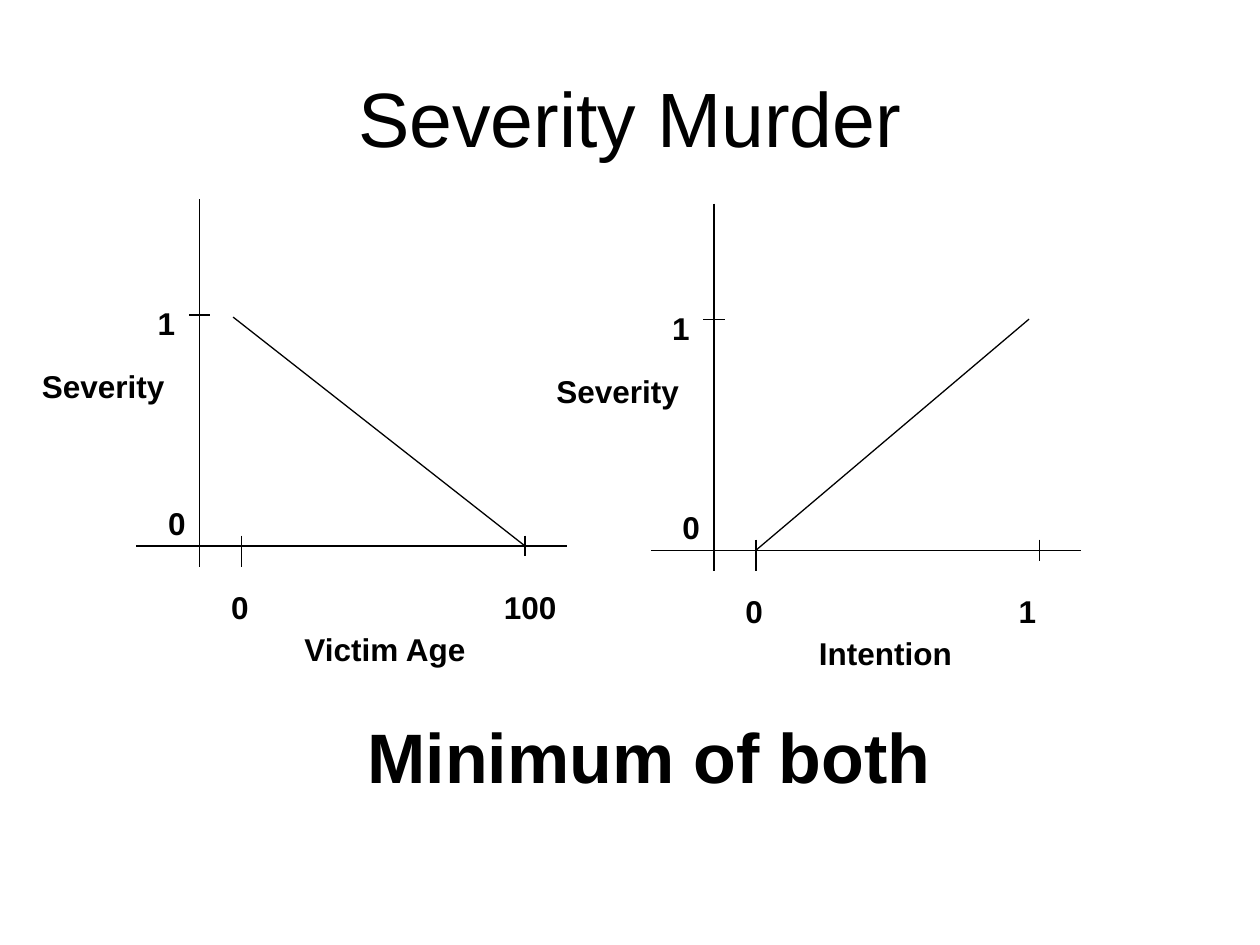
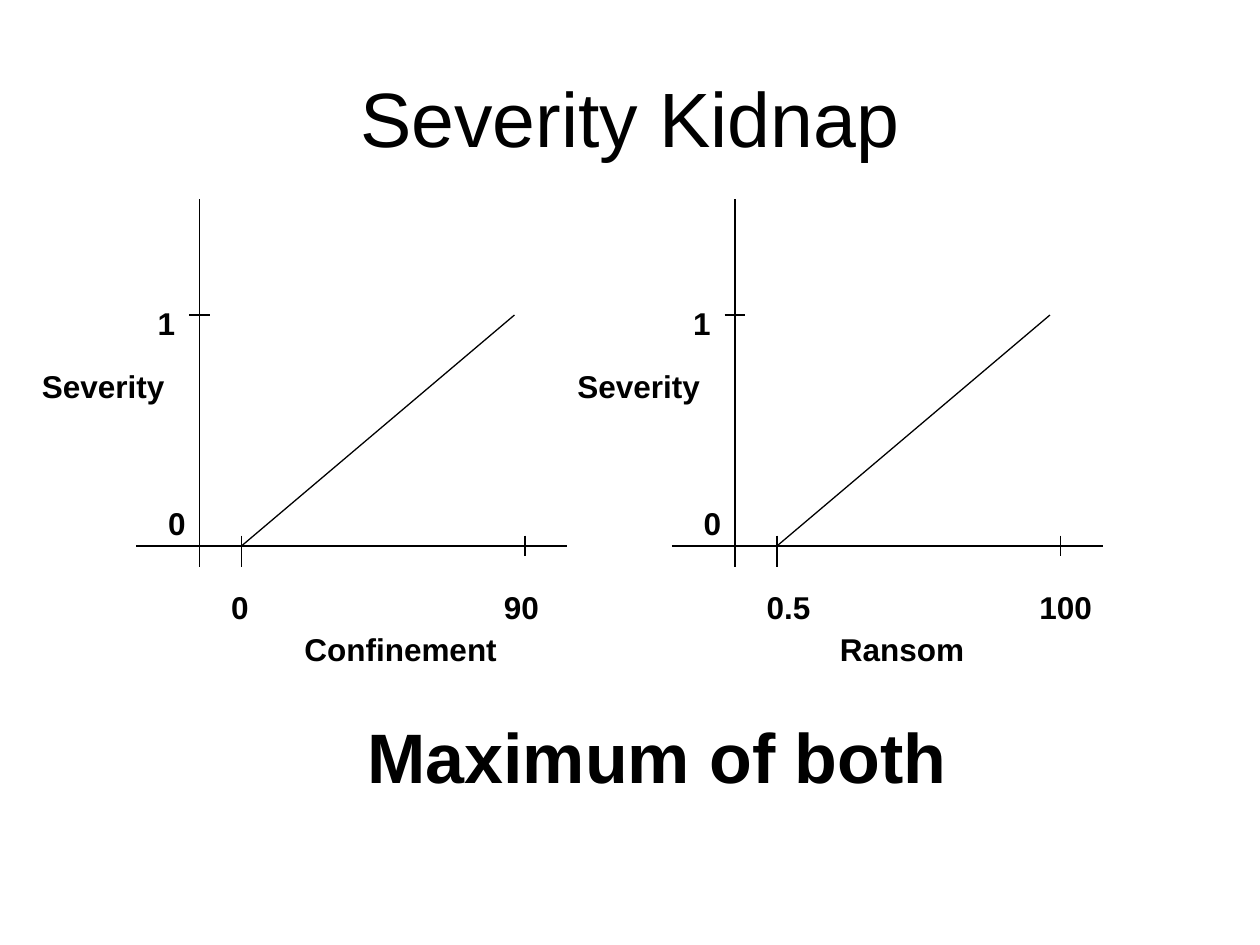
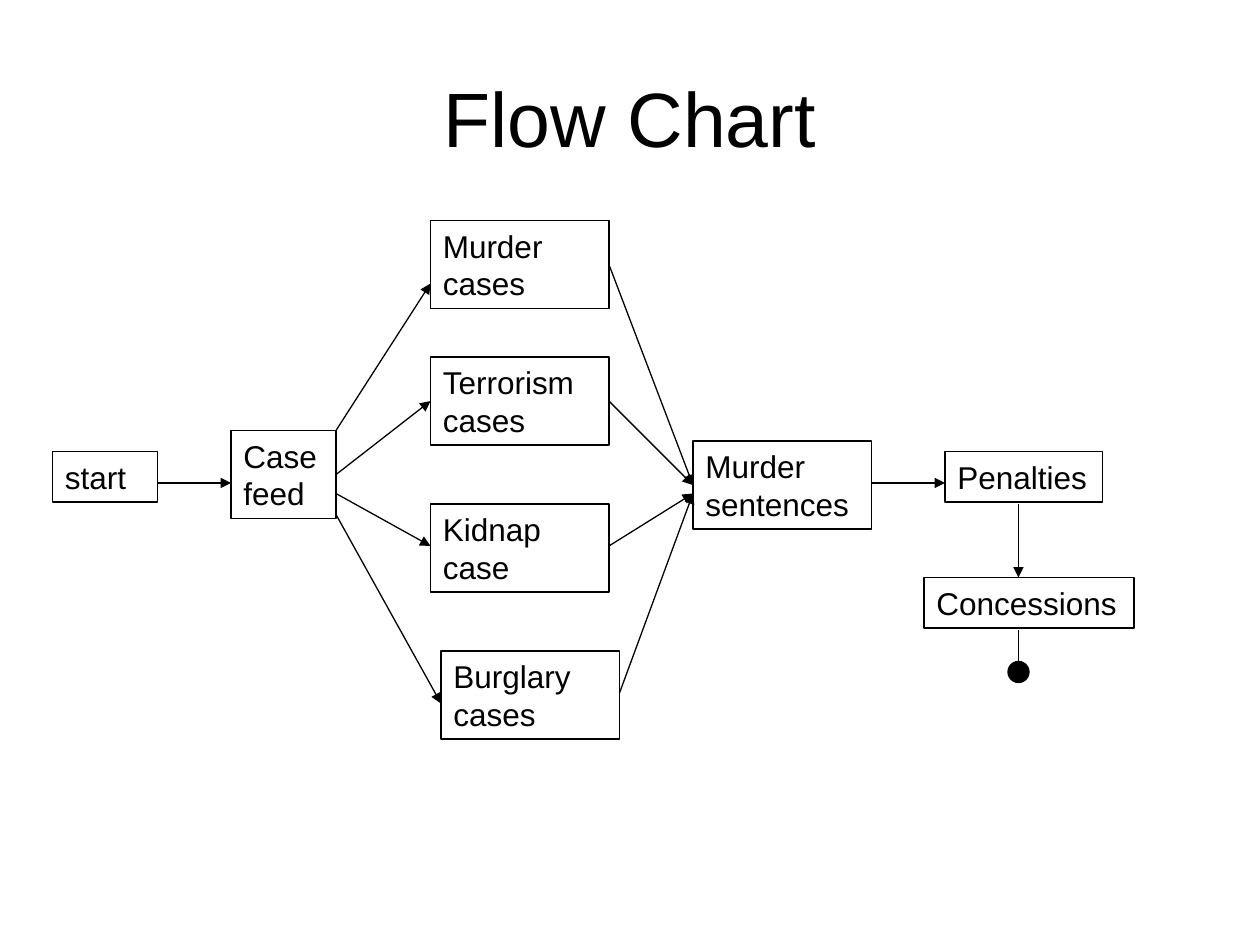
from dataclasses import dataclass

from lxml import etree
from pptx import Presentation
from pptx.dml.color import RGBColor
from pptx.enum import shapes, text
from pptx.oxml import ns
from pptx.util import Emu, Pt

BLACK = RGBColor(0x00, 0x00, 0x00)
FONT = "Arial"
EMU_PER_PX = 7620
SNAP = 2
LABEL_HEIGHT = 36
RISING = ((190, 330), (450, 110))
FALLING = ((182, 112), (460, 330))


@dataclass
class Graph:
    left: int
    top: int
    low: tuple
    high: tuple
    name: tuple
    slope: tuple


def px(*lengths):
    return [Emu(length * EMU_PER_PX) for length in lengths]


def write(shape, words, size, bold=False, align=text.PP_ALIGN.LEFT,
          anchor=text.MSO_ANCHOR.TOP, wrap=True, inset=(12, 6)):
    frame = shape.text_frame
    frame.word_wrap = wrap
    frame.vertical_anchor = anchor
    frame.margin_left, frame.margin_top = px(*inset)
    frame.margin_right, frame.margin_bottom = px(*inset)
    para = frame.paragraphs[0]
    para.add_run().text = words
    para.alignment = align
    para.font.name = FONT
    para.font.size = Pt(size)
    para.font.bold = bold
    para.font.color.rgb = BLACK
    return frame


def add_title(page, words):
    box = page.shapes.add_textbox(*px(60, 36, 1080, 150))
    write(box, words, 44, align=text.PP_ALIGN.CENTER, anchor=text.MSO_ANCHOR.MIDDLE)


def add_summary(page, words):
    box = page.shapes.add_textbox(*px(350, 680, 570, 80))
    write(box, words, 40, bold=True, inset=(0, 0))


def add_label(page, left, top, words, width):
    box = page.shapes.add_textbox(*px(left, top, width, LABEL_HEIGHT))
    frame = write(box, words, 18, bold=True, wrap=False, inset=(0, 0))
    frame.auto_size = text.MSO_AUTO_SIZE.SHAPE_TO_FIT_TEXT


def add_line(page, start, end, arrow=False):
    line = page.shapes.add_connector(shapes.MSO_CONNECTOR.STRAIGHT, *px(*start, *end))
    line.line.color.rgb = BLACK
    line.line.width = Pt(0.75)
    if arrow:
        etree.SubElement(line.line._get_or_add_ln(), ns.qn("a:tailEnd"), type="triangle")
    etree.SubElement(line._element.spPr, ns.qn("a:effectLst"))
    return line


def add_graph(page, graph):
    def place(point):
        return graph.left + point[0], graph.top + point[1]

    axes = [((150, 0), (150, 350)), ((90, 330), (500, 330))]
    ticks = [((190, 320), (190, 350)), ((460, 320), (460, 340)), ((140, 110), (160, 110))]
    for start, end in axes + ticks + [graph.slope]:
        add_line(page, place(start), place(end))

    labels = [
        ((110, 100), ("1", 18)),
        ((120, 290), ("0", 18)),
        ((0, 160), ("Severity", 120)),
        ((180, 370), graph.low),
        ((440, 370), graph.high),
        ((250, 410), graph.name),
    ]
    for point, label in labels:
        add_label(page, *place(point), *label)


def severity_slide(deck, title, graphs, summary):
    page = deck.slides.add_slide(deck.slide_layouts[6])
    add_title(page, title)
    for graph in graphs:
        add_graph(page, graph)
    add_summary(page, summary)


def add_step(page, left, top, width, height, words):
    step = page.shapes.add_shape(shapes.MSO_SHAPE.RECTANGLE, *px(left, top, width, height))
    step.shadow.inherit = False
    step.fill.background()
    step.line.color.rgb = BLACK
    step.line.width = Pt(1)
    write(step, words, 18)
    return step


def find_side(steps, point):
    x, y = px(*point)
    reach = SNAP * EMU_PER_PX
    for step in steps:
        middle_x = step.left + step.width // 2
        middle_y = step.top + step.height // 2
        sides = [
            (middle_x, step.top),
            (step.left, middle_y),
            (middle_x, step.top + step.height),
            (step.left + step.width, middle_y),
        ]
        for site, (side_x, side_y) in enumerate(sides):
            if abs(side_x - x) <= reach and abs(side_y - y) <= reach:
                return step, site
    return None


def add_flow(page, left, top):
    def place(point):
        return left + point[0], top + point[1]

    single, double = 48, 84
    steps = [
        add_step(page, *place(corner), width, height, words)
        for corner, width, height, words in [
            ((610, 210), 170, double, "Murder sentences"),
            ((0, 220), 100, single, "start"),
            ((170, 200), 100, double, "Case feed"),
            ((850, 220), 150, single, "Penalties"),
            ((360, 130), 170, double, "Terrorism cases"),
            ((360, 270), 170, double, "Kidnap case"),
            ((360, 0), 170, double, "Murder cases"),
            ((370, 410), 170, double, "Burglary cases"),
            ((830, 340), 200, single, "Concessions"),
        ]
    ]
    arrows = [
        ((100, 250), (170, 250)),
        ((270, 200), (360, 60)),
        ((270, 240), (360, 170)),
        ((270, 260), (360, 310)),
        ((270, 280), (370, 460)),
        ((530, 40), (610, 250)),
        ((530, 170), (610, 250)),
        ((530, 310), (610, 260)),
        ((540, 450), (610, 260)),
        ((780, 250), (850, 250)),
        ((920, 270), (920, 340)),
        ((920, 390), (920, 440)),
    ]
    for start, end in arrows:
        arrow = add_line(page, place(start), place(end), arrow=True)
        begin_side = find_side(steps, place(start))
        end_side = find_side(steps, place(end))
        if begin_side and end_side:
            arrow.begin_connect(*begin_side)
            arrow.end_connect(*end_side)

    stop = page.shapes.add_shape(shapes.MSO_SHAPE.OVAL, *px(*place((910, 420)), 20, 20))
    stop.shadow.inherit = False
    stop.fill.solid()
    stop.fill.fore_color.rgb = BLACK
    stop.line.color.rgb = BLACK
    stop.line.width = Pt(0.75)


def flow_slide(deck, title):
    page = deck.slides.add_slide(deck.slide_layouts[6])
    add_title(page, title)
    add_flow(page, 50, 210)


def main():
    deck = Presentation()
    deck.slide_width, deck.slide_height = px(1200, 900)
    severity_slide(deck, "Severity Murder", [
        Graph(40, 190, ("0", 18), ("100", 53), ("Victim Age", 158), FALLING),
        Graph(530, 194, ("0", 18), ("1", 18), ("Intention", 130), RISING),
    ], "Minimum of both")
    severity_slide(deck, "Severity Kidnap", [
        Graph(40, 190, ("0", 18), ("90", 36), ("Confinement", 187), RISING),
        Graph(550, 190, ("0.5", 45), ("100", 53), ("Ransom", 122), RISING),
    ], "Maximum of both")
    flow_slide(deck, "Flow Chart")
    deck.save("out.pptx")


if __name__ == "__main__":
    main()
